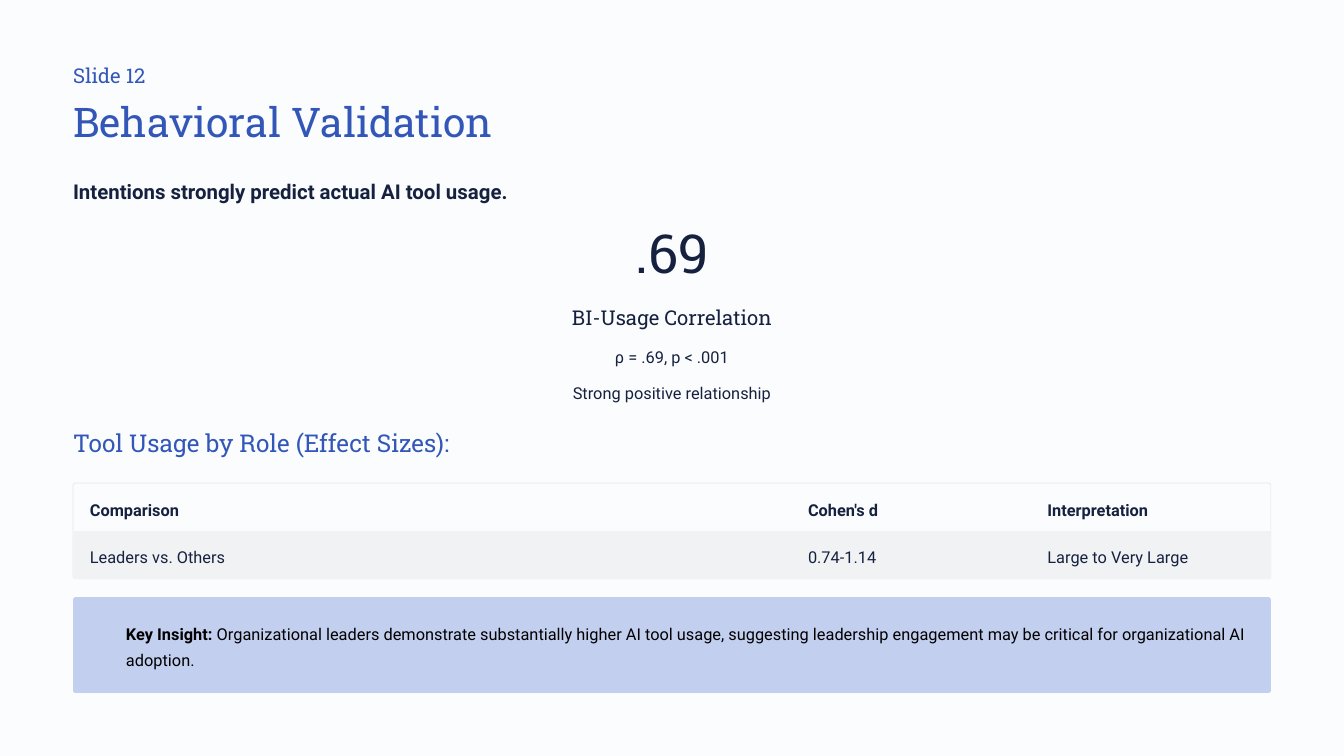
from lxml import etree
from pptx import Presentation
from pptx.dml.color import RGBColor
from pptx.enum.shapes import MSO_SHAPE
from pptx.enum.text import MSO_ANCHOR, PP_ALIGN
from pptx.oxml.ns import qn
from pptx.util import Inches, Pt

LEFT, CENTER = PP_ALIGN.LEFT, PP_ALIGN.CENTER
TOP = MSO_ANCHOR.TOP
RECTANGLE, ROUNDED = MSO_SHAPE.RECTANGLE, MSO_SHAPE.ROUNDED_RECTANGLE

PAPER = RGBColor(0xFB, 0xFC, 0xFE)
BLUE = RGBColor(0x32, 0x57, 0xB8)
NAVY = RGBColor(0x15, 0x21, 0x3F)
BLACK = RGBColor(0, 0, 0)
FRAME = RGBColor(0xE7, 0xE8, 0xEA)
BAND = RGBColor(0xF1, 0xF2, 0xF4)
PALE_BLUE = RGBColor(0xC3, 0xCF, 0xEF)

SLAB, SANS = "Roboto Slab", "Roboto"
SLIDE_W, SLIDE_H = 16, 9
MARGIN = 0.87
CONTENT_W = SLIDE_W - 2 * MARGIN
BODY_SIZE, BODY_LEADING = 14, 22.5

EFFECT_SIZES = [
    ("Comparison", "Cohen's d", "Interpretation"),
    ("Leaders vs. Others", "0.74-1.14", "Large to Very Large"),
]
COLUMN_SHARES = (0.6, 0.2, 0.2)


def add_run(paragraph, text, size, font, color, bold=False):
    run = paragraph.add_run()
    run.text = text
    run.font.size = Pt(size)
    run.font.name = font
    run.font.color.rgb = color
    run.font.bold = bold


def add_text(slide, box, runs, size=BODY_SIZE, leading=BODY_LEADING,
             font=SANS, color=NAVY, align=LEFT, wrap=False):
    """Place one paragraph of (text, bold) runs in a box without insets."""
    frame = slide.shapes.add_textbox(*map(Inches, box)).text_frame
    frame.margin_left = frame.margin_right = 0
    frame.margin_top = frame.margin_bottom = 0
    frame.vertical_anchor = TOP
    frame.word_wrap = wrap
    paragraph = frame.paragraphs[0]
    paragraph.alignment = align
    paragraph.line_spacing = Pt(leading)
    for text, bold in runs:
        add_run(paragraph, text, size, font, color, bold)


def add_panel(slide, box, fill=None, line=None, outline=ROUNDED):
    panel = slide.shapes.add_shape(outline, *map(Inches, box))
    if outline == ROUNDED:
        panel.adjustments[0] = 0.026
    panel.shadow.inherit = False
    if fill is None:
        panel.fill.background()
    else:
        panel.fill.solid()
        panel.fill.fore_color.rgb = fill
    if line is None:
        panel.line.fill.background()
    else:
        panel.line.color.rgb = line
        panel.line.width = Pt(0.6)


def clear_borders(cell):
    properties = cell._tc.get_or_add_tcPr()
    for side in ("lnL", "lnR", "lnT", "lnB"):
        border = etree.SubElement(properties, qn("a:" + side), w="0")
        etree.SubElement(border, qn("a:noFill"))


def add_heading(slide, left, top, width):
    add_text(slide, (left, top, width, 0.31), [("Slide 12", False)],
             17.5, 21.5, SLAB, BLUE)
    add_text(slide, (left, top + 0.39, width, 0.61),
             [("Behavioral Validation", False)], 35, 43.5, SLAB, BLUE)
    add_text(slide, (left, top + 1.29, width, 0.39),
             [("Intentions strongly predict actual AI tool usage.", True)],
             17.5, 28)


def add_correlation(slide, left, top, width):
    add_text(slide, (left, top, width, 0.64), [(".69", False)],
             46, 46, SLAB, align=CENTER)
    add_text(slide, (left, top + 0.89, width, 0.31),
             [("BI-Usage Correlation", False)], 17.5, 21.5, SLAB, align=CENTER)
    details = ("ρ = .69, p < .001", "Strong positive relationship")
    for index, detail in enumerate(details):
        add_text(slide, (left, top + 1.31 + index * 0.43, width, 0.31),
                 [(detail, False)], align=CENTER)


def add_effect_sizes(slide, left, top, width):
    add_text(slide, (left, top, width, 0.37),
             [("Tool Usage by Role (Effect Sizes):", False)],
             21, 26, SLAB, BLUE)
    frame_top, frame_height, inset = top + 0.66, 1.14, 0.01
    add_panel(slide, (left, frame_top, width, frame_height), line=FRAME)

    table_width = width - inset
    table_box = (left + inset, frame_top + inset,
                 table_width, frame_height - inset)
    table = slide.shapes.add_table(
        len(EFFECT_SIZES), len(COLUMN_SHARES), *map(Inches, table_box)).table
    table.first_row = table.horz_banding = False
    for column, share in zip(table.columns, COLUMN_SHARES):
        column.width = Inches(table_width * share)
    for row, values in enumerate(EFFECT_SIZES):
        for column, value in enumerate(values):
            cell = table.cell(row, column)
            clear_borders(cell)
            if row:
                cell.fill.solid()
                cell.fill.fore_color.rgb = BAND
            else:
                cell.fill.background()
            cell.margin_left = cell.margin_right = Inches(0.19)
            cell.margin_top, cell.margin_bottom = Inches(0.12), Inches(0.05)
            cell.vertical_anchor = TOP
            paragraph = cell.text_frame.paragraphs[0]
            paragraph.line_spacing = Pt(BODY_LEADING)
            add_run(paragraph, value, BODY_SIZE, SANS, NAVY, bold=row == 0)


def add_key_insight(slide, left, top, width):
    add_panel(slide, (left, top, width, 1.14), fill=PALE_BLUE)
    insight = (" Organizational leaders demonstrate substantially higher AI "
               "tool usage, suggesting leadership engagement may be critical "
               "for organizational AI adoption.")
    add_text(slide, (left + 0.63, top + 0.24, width - 0.83, 0.62),
             [("Key Insight:", True), (insight, False)],
             color=BLACK, wrap=True)


def main():
    deck = Presentation()
    deck.slide_width, deck.slide_height = Inches(SLIDE_W), Inches(SLIDE_H)
    slide = deck.slides.add_slide(deck.slide_layouts[6])
    add_panel(slide, (0, 0, SLIDE_W, SLIDE_H), fill=PAPER, outline=RECTANGLE)
    add_heading(slide, MARGIN, 0.74, CONTENT_W)
    add_correlation(slide, MARGIN, 2.74, CONTENT_W)
    add_effect_sizes(slide, MARGIN, 5.09, CONTENT_W)
    add_key_insight(slide, MARGIN, 7.11, CONTENT_W)
    deck.save("out.pptx")


if __name__ == "__main__":
    main()
